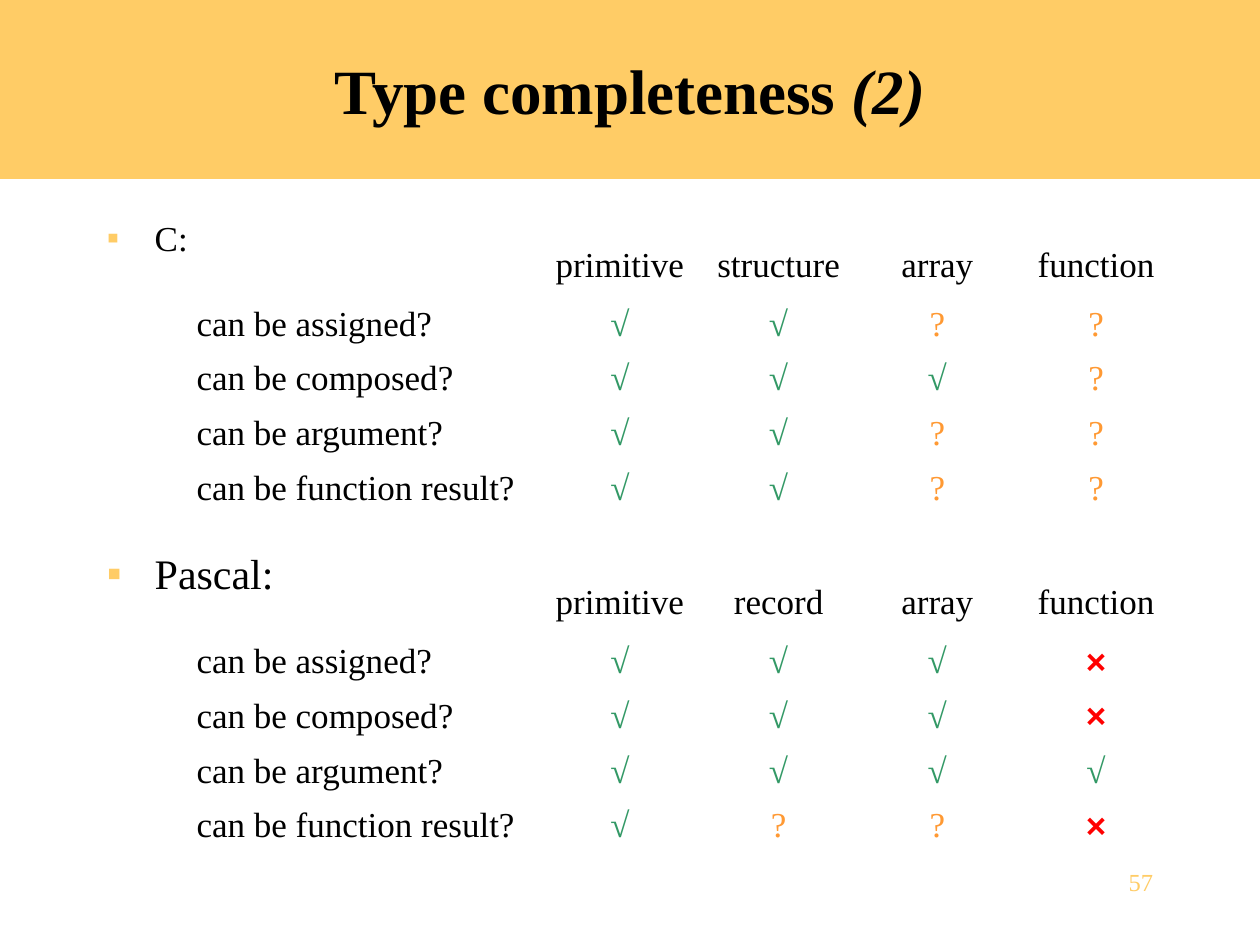
from lxml.etree import SubElement
from pptx import Presentation
from pptx.dml.color import RGBColor
from pptx.enum.shapes import MSO_SHAPE as Shape
from pptx.enum.text import MSO_ANCHOR as Anchor, PP_ALIGN as Align
from pptx.oxml.ns import qn
from pptx.util import Inches, Pt

COLORS = {"band": "FFCC66", "text": "000000", "yes": "339966",
          "partly": "FF9933", "no": "FF0000"}
SERIF = "Times New Roman"
PLAIN_TABLE_STYLE = "{2D5ABB26-0587-4C30-8999-92F81FD0307C}"
MARKS = {"√": ("yes", SERIF, True), "?": ("partly", SERIF, False),
         "×": ("no", "Arial", True)}
QUESTIONS = ["can be assigned?", "can be composed?", "can be argument?",
             "can be function result?"]
C_TYPES = ["primitive", "structure", "array", "function"]
C_MARKS = ["√√??", "√√√?", "√√??", "√√??"]
PASCAL_TYPES = ["primitive", "record", "array", "function"]
PASCAL_MARKS = ["√√√×", "√√√×", "√√√√", "√??×"]


def color(name):
    """Return the named palette colour."""
    return RGBColor.from_string(COLORS[name])


def style_run(run, size, color_name="text", font_name=SERIF, bold=False, italic=False):
    """Apply font settings to one run."""
    font = run.font
    font.size, font.name = Pt(size), font_name
    font.bold, font.italic = bold, italic
    font.color.rgb = color(color_name)


def add_title(slide, box, text, number):
    """Draw the title band with an italic part number."""
    band = slide.shapes.add_shape(Shape.RECTANGLE, *map(Inches, box))
    band.shadow.inherit = False
    band.fill.solid()
    band.fill.fore_color.rgb = color("band")
    band.line.fill.background()
    band.text_frame.vertical_anchor = Anchor.MIDDLE
    paragraph = band.text_frame.paragraphs[0]
    paragraph.alignment = Align.CENTER
    for part, italic in ((text, False), (number, True)):
        run = paragraph.add_run()
        run.text = part
        style_run(run, 36, bold=True, italic=italic)


def add_text(slide, box, text, size, color_name="text"):
    """Add a wrapped one-line text box and return its paragraph."""
    text_box = slide.shapes.add_textbox(*map(Inches, box))
    text_box.text_frame.word_wrap = True
    paragraph = text_box.text_frame.paragraphs[0]
    paragraph.text = text
    style_run(paragraph.runs[0], size, color_name)
    return paragraph


def add_bullet(slide, box, text, size):
    """Add a text box with a square-bulleted language name."""
    paragraph = add_text(slide, box, text, size)
    properties = paragraph._p.get_or_add_pPr()
    properties.set("marL", str(Inches(0.38)))
    properties.set("indent", str(-Inches(0.38)))
    bullet_color = SubElement(properties, qn("a:buClr"))
    SubElement(bullet_color, qn("a:srgbClr"), val=COLORS["band"])
    SubElement(properties, qn("a:buFont"), typeface=SERIF)
    SubElement(properties, qn("a:buChar"), char="▪")


def clear_cell(cell):
    """Remove the borders and fill of a table cell."""
    properties = cell._tc.get_or_add_tcPr()
    for side in ("L", "R", "T", "B"):
        border = SubElement(properties, qn(f"a:ln{side}"), w="0")
        SubElement(border, qn("a:noFill"))
    cell.fill.background()


def add_type_table(slide, box, types, marks):
    """Add the borderless table of questions against types."""
    rows = [["", *types]] + [[question, *line] for question, line in zip(QUESTIONS, marks)]
    table = slide.shapes.add_table(len(rows), len(rows[0]), *map(Inches, box)).table
    table.first_row = table.horz_banding = False
    table._tbl.tblPr.find(qn("a:tableStyleId")).text = PLAIN_TABLE_STYLE
    for index, column in enumerate(table.columns):
        column.width = Inches(1.26 if index else 2.83)
    for index, row in enumerate(table.rows):
        row.height = Inches(0.43 if index else 0.47)
        for column, text in enumerate(rows[index]):
            cell = row.cells[column]
            clear_cell(cell)
            if not text:
                continue
            paragraph = cell.text_frame.paragraphs[0]
            paragraph.text = text
            paragraph.alignment = Align.CENTER if column else Align.LEFT
            style_run(paragraph.runs[0], 20, *MARKS.get(text, ()))


def add_page_number(slide, box, text):
    """Add the right-aligned page number."""
    add_text(slide, box, text, 14, "band").alignment = Align.RIGHT


def main():
    """Build and save the slide."""
    presentation = Presentation()
    presentation.slide_width, presentation.slide_height = Inches(10), Inches(7.5)
    slide = presentation.slides.add_slide(presentation.slide_layouts[6])
    add_title(slide, (0, 0, 10, 1.42), "Type completeness ", "(2)")
    add_bullet(slide, (0.75, 1.67, 8.5, 5.08), "C:", 20)
    add_type_table(slide, (1.46, 1.9, 7.87, 2.19), C_TYPES, C_MARKS)
    add_bullet(slide, (0.75, 4.3, 8.5, 2.44), "Pascal:", 24)
    add_type_table(slide, (1.46, 4.58, 7.87, 2.19), PASCAL_TYPES, PASCAL_MARKS)
    add_page_number(slide, (7.17, 6.83, 2.08, 0.5), "57")
    presentation.save("out.pptx")


if __name__ == "__main__":
    main()
